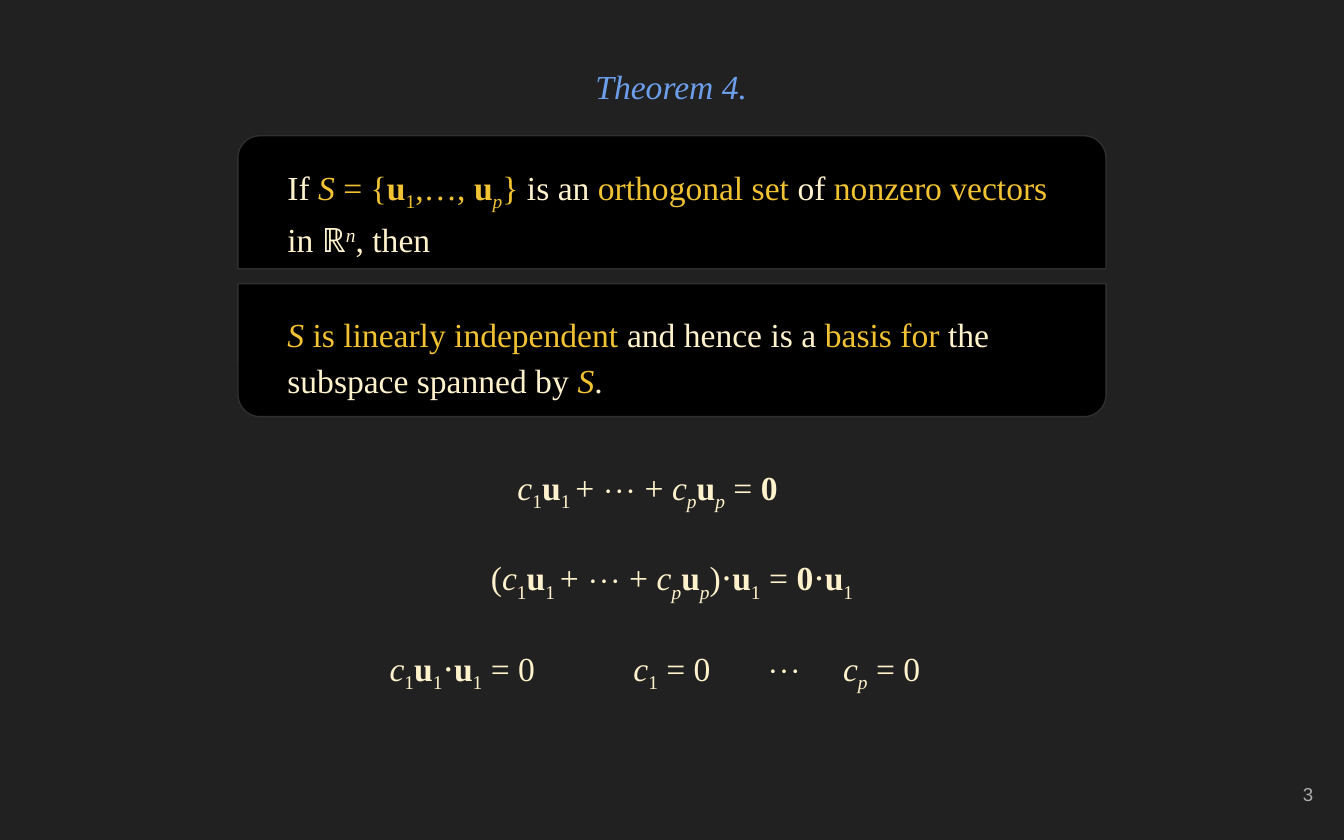
from typing import NamedTuple

from pptx import Presentation
from pptx.dml.color import RGBColor
from pptx.enum import shapes, text
from pptx import util as u

WIDTH, HEIGHT = 10, 6.25
COLORS = {
    "background": "212121", "card": "000000", "edge": "303030",
    "cream": "FFF2CC", "gold": "F1C232", "blue": "6D9EEB", "gray": "ADADAD",
}
# Grid of the derivation: three centred columns, three rows
COL, ROW = 1.56, 0.675
GRID_LEFT, GRID_TOP = (WIDTH - 3 * COL) / 2, 3.32
# Statement cards
CARD_W, CARD_H, CARD_TOP, CARD_PITCH = 6.46, 0.99, 1.01, 1.1
LEFT, CENTER, RIGHT = text.PP_ALIGN.LEFT, text.PP_ALIGN.CENTER, text.PP_ALIGN.RIGHT


class Box(NamedTuple):
    left: float
    top: float
    width: float
    height: float

    def emu(self) -> list[int]:
        return [u.Inches(length) for length in self]


class Piece(NamedTuple):
    words: str
    style: str = ""  # i italic, b bold
    color: str = "cream"
    baseline: int = 0


class Formula(NamedTuple):
    column: float
    row: int
    columns: float
    pieces: list[Piece]
    align: text.PP_ALIGN = CENTER


def indexed(letter: str, style: str, index: str, color: str = "cream") -> list[Piece]:
    """A letter with a subscript; a letter index is italic."""
    index_style = "i" if index.isalpha() else ""
    return [Piece(letter, style, color), Piece(index, index_style, color, -25)]


def coef(index: str) -> list[Piece]:
    return indexed("c", "i", index)


def vector(index: str, color: str = "cream") -> list[Piece]:
    return indexed("u", "b", index, color)


def rgb(name: str) -> RGBColor:
    return RGBColor.from_string(COLORS[name])


def add_text(parent, box: Box, pieces: list[Piece], align=LEFT, size=18,
             font="Times New Roman", middle=False) -> None:
    frame = parent.add_textbox(*box.emu()).text_frame
    frame.word_wrap = True
    frame.margin_left = frame.margin_right = u.Inches(0.1)
    frame.margin_top = frame.margin_bottom = u.Inches(0.1)
    paragraph = frame.paragraphs[0]
    paragraph.alignment = align
    if middle:
        frame.vertical_anchor = text.MSO_ANCHOR.MIDDLE
    else:
        paragraph.line_spacing = 1.15
        paragraph.space_after = u.Pt(16)
    for piece in pieces:
        run = paragraph.add_run()
        run.text = piece.words
        run.font.name, run.font.size = font, u.Pt(size)
        run.font.italic, run.font.bold = "i" in piece.style, "b" in piece.style
        run.font.color.rgb = rgb(piece.color)
        if piece.baseline:
            run.font._element.set("baseline", str(piece.baseline * 1000))


def add_card(slide, index: int, pieces: list[Piece]) -> None:
    """A card rounded on its outer side, grouped with its statement."""
    group = slide.shapes.add_group_shape().shapes
    top = CARD_TOP + index * CARD_PITCH
    box = Box((WIDTH - CARD_W) / 2, top, CARD_W, CARD_H)
    card = group.add_shape(shapes.MSO_SHAPE.ROUND_2_SAME_RECTANGLE, *box.emu())
    card.adjustments[0], card.adjustments[1] = 1 / 6, 0
    card.rotation = 180 * index
    card.shadow.inherit = False
    card.fill.solid()
    card.fill.fore_color.rgb = rgb("card")
    card.line.color.rgb = rgb("edge")
    card.line.width = u.Pt(0.75)
    add_text(group, Box(2.04, top + 0.08, 5.93, 0.83), pieces)


def add_formula(slide, formula: Formula) -> None:
    box = Box(GRID_LEFT + formula.column * COL, GRID_TOP + formula.row * ROW,
              formula.columns * COL, 0.68)
    add_text(slide.shapes, box, formula.pieces, formula.align)


HYPOTHESIS = [
    Piece("If "), Piece("S", "i", "gold"), Piece(" = {", "", "gold"),
    *vector("1", "gold"), Piece(",…, ", "", "gold"), *vector("p", "gold"),
    Piece("}", "", "gold"), Piece(" is an "), Piece("orthogonal set", "", "gold"),
    Piece(" of "), Piece("nonzero vectors ", "", "gold"),
    Piece("in ℝ"), Piece("n", "i", baseline=30), Piece(", then"),
]
CONCLUSION = [
    Piece("S", "i", "gold"), Piece(" is linearly independent", "", "gold"),
    Piece(" and hence is a "), Piece("basis for", "", "gold"),
    Piece(" the subspace spanned by "), Piece("S", "i", "gold"), Piece("."),
]
COMBINATION = [*coef("1"), *vector("1 "), Piece("+ ⋯ + "), *coef("p"), *vector("p")]
DOT, EQUALS, IS_ZERO, ZERO = Piece("⋅"), Piece(" = "), Piece(" = 0"), Piece("0", "b")
FORMULAS = [
    Formula(0.7, 0, 1.6, [*COMBINATION, EQUALS, ZERO], LEFT),
    Formula(0.42, 1, 2.16, [Piece("("), *COMBINATION, Piece(")⋅"), *vector("1"),
                            EQUALS, ZERO, DOT, *vector("1")]),
    Formula(0, 2, 1, [*coef("1"), *vector("1"), DOT, *vector("1"), IS_ZERO]),
    Formula(1, 2, 1, [*coef("1"), IS_ZERO]),
    Formula(2, 2, 1, [*coef("p"), IS_ZERO]),
    Formula(1.78, 2, 0.51, [Piece("⋯")]),
]


def main() -> None:
    deck = Presentation()
    deck.slide_width, deck.slide_height = u.Inches(WIDTH), u.Inches(HEIGHT)
    slide = deck.slides.add_slide(deck.slide_layouts[6])
    slide.background.fill.solid()
    slide.background.fill.fore_color.rgb = rgb("background")

    # Slide number and title
    add_text(slide.shapes, Box(9.27, 5.67, 0.6, 0.48), [Piece("3", "", "gray")],
             RIGHT, 10, "Arial", middle=True)
    add_text(slide.shapes, Box(0.48, 0.35, 9.03, 0.58),
             [Piece("Theorem 4.", "i", "blue")], CENTER, middle=True)

    # Theorem
    for index, statement in enumerate((HYPOTHESIS, CONCLUSION)):
        add_card(slide, index, statement)

    # Derivation
    for formula in FORMULAS:
        add_formula(slide, formula)

    deck.save("out.pptx")


if __name__ == "__main__":
    main()
